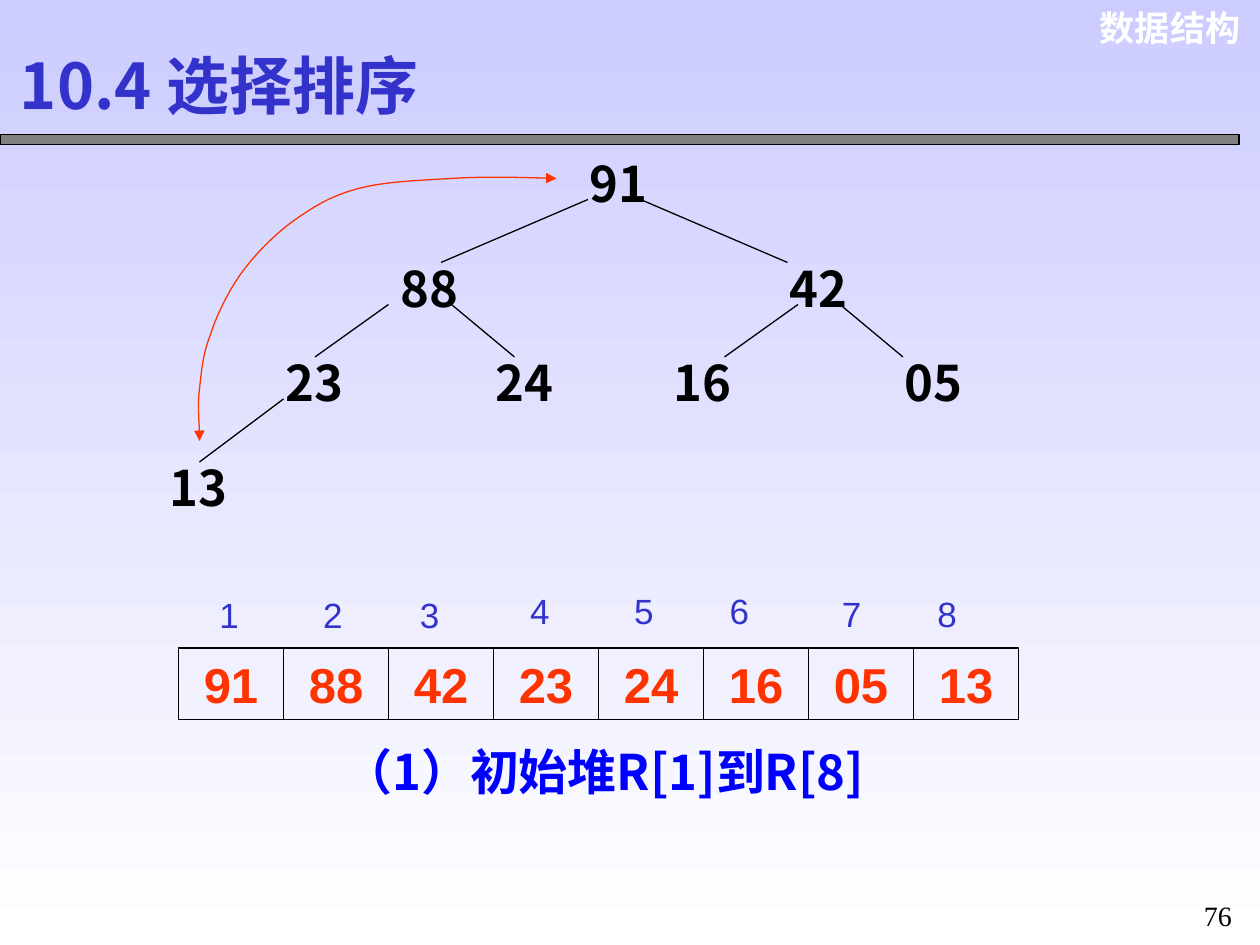
from lxml.etree import SubElement
from pptx import Presentation
from pptx.dml.color import RGBColor
from pptx.enum.shapes import MSO_CONNECTOR, MSO_SHAPE
from pptx.enum.text import MSO_ANCHOR, MSO_AUTO_SIZE, PP_ALIGN
from pptx.oxml.ns import qn
from pptx.util import Inches, Pt

HEAP = ["91", "88", "42", "23", "24", "16", "05", "13"]
NODES = [(40, 0), (22, 10), (59, 10), (11, 19), (31, 19), (48, 19), (70, 19), (0, 29)]
EDGES = [(41, 5, 27, 11), (46, 5, 60, 11), (22, 15, 15, 20), (28, 15, 34, 20),
         (61, 15, 54, 20), (65, 15, 71, 20), (12, 24, 4, 30)]
SWAP_CURVES = [
    [(0, 23.3), (-0.2, 21.6), (0, 20)],
    [(0.2, 18.3), (0.3, 16.8), (1, 15)],
    [(1.6, 13.1), (2.7, 10.8), (4, 9)],
    [(5.4, 7.1), (7.2, 5.3), (9, 4)],
    [(10.9, 2.7), (12.4, 1.7), (15, 1)],
    [(17.5, 0.3), (20.8, 0.2), (24, 0)],
    [(27.2, -0.2), (30.6, -0.1), (34, 0)],
]
INDEX_PLACES = [(2.7, 0.36), (12.6, 0.36), (21.8, 0.36), (32.3, 0),
                (42.2, 0), (51.3, 0), (62, 0.24), (71.1, 0.24)]
CJK = "Noto Sans CJK SC"
UNITS = 100


def grid(count):
    """Return the length of a number of grid steps, twelve to the inch."""
    return Inches(count / 12)


def color(value):
    """Return a colour from a hex string."""
    return RGBColor.from_string(value)


def write(shape, text, size, font, ink, bold=True, align=PP_ALIGN.LEFT):
    """Write one formatted run into a shape and return its paragraph."""
    frame = shape.text_frame
    frame.auto_size = MSO_AUTO_SIZE.NONE
    paragraph = frame.paragraphs[0]
    paragraph.alignment = align
    run = paragraph.add_run()
    run.text = text
    run.font.size, run.font.bold, run.font.name = Pt(size), bold, font
    run.font.color.rgb = color(ink)
    SubElement(run.font._element, qn("a:ea")).set("typeface", CJK)
    return paragraph


def add_label(slide, box, *style, wrap=True, **options):
    """Add a text box at a grid box and return its paragraph."""
    shape = slide.shapes.add_textbox(*map(grid, box))
    shape.text_frame.word_wrap = wrap
    return write(shape, *style, **options)


def add_bar(slide, box, fill=None):
    """Add a thinly outlined rectangle at a grid box."""
    shape = slide.shapes.add_shape(MSO_SHAPE.RECTANGLE, *map(grid, box))
    shape.shadow.inherit = False
    if fill:
        shape.fill.solid()
        shape.fill.fore_color.rgb = color(fill)
    else:
        shape.fill.background()
    shape.line.color.rgb = color("000000")
    shape.line.width = Pt(0.75)
    return shape


def paint_background(slide):
    """Fill the slide with a gradient from top to bottom."""
    fill = slide.background.fill
    fill.gradient()
    fill.gradient_angle = 270
    for stop, value in zip(fill.gradient_stops, ("CCCCFF", "FFFFFF")):
        stop.color.rgb = color(value)


def add_header(slide, box):
    """Place the course name, the rule and the title."""
    left, top, width, height = box
    add_label(slide, (left + width - 15.2, top, 16.5, 5.3), "数据结构", 20, "Arial",
              "FFFFFF", align=PP_ALIGN.RIGHT)
    add_bar(slide, (left, top + height - 1, width, 1), "808080")
    title = slide.shapes.title
    title.left, title.top, title.width, title.height = map(
        grid, (left + 0.7, top + 3.5, 44.7, 9))
    title.text_frame.vertical_anchor = MSO_ANCHOR.MIDDLE
    write(title, "10.4 选择排序", 36, CJK, "3333CC")


def add_tree(slide, box):
    """Draw the heap as a tree with its nodes and edges."""
    left, top = box[:2]
    for value, (x, y) in zip(HEAP, NODES):
        add_label(slide, (left + x, top + y, 8, 6.8), value, 28, CJK, "000000")
    for x1, y1, x2, y2 in EDGES:
        edge = slide.shapes.add_connector(
            MSO_CONNECTOR.STRAIGHT, grid(left + x1), grid(top + y1),
            grid(left + x2), grid(top + y2))
        edge.line.color.rgb = color("000000")
        edge.line.width = Pt(0.75)
        SubElement(edge._element.spPr, qn("a:effectLst"))


def add_swap_arrow(slide, box):
    """Draw the curved double arrow between the last leaf and the root."""
    left, top, width, height = box
    builder = slide.shapes.build_freeform(0, height * UNITS, scale=grid(1) / UNITS)
    builder.add_line_segments(
        [(x * UNITS, y * UNITS) for *_, (x, y) in SWAP_CURVES], close=False)
    arrow = builder.convert_to_shape(grid(left), grid(top))
    arrow.shadow.inherit = False
    arrow.fill.background()
    arrow.line.color.rgb = color("FF3300")
    arrow.line.width = Pt(0.75)
    for segment, points in zip(list(arrow._element.iter(qn("a:lnTo"))), SWAP_CURVES):
        outline = segment.getparent()
        curve = SubElement(outline, qn("a:cubicBezTo"))
        for x, y in points:
            SubElement(curve, qn("a:pt"), x=str(round(x * UNITS)), y=str(round(y * UNITS)))
        outline.replace(segment, curve)
    for end in ("a:headEnd", "a:tailEnd"):
        SubElement(arrow.line._get_or_add_ln(), qn(end), type="triangle")


def add_array(slide, box):
    """Draw the row of array cells with the index above each."""
    left, top, width, height = box
    step = width / len(HEAP)
    for index, (value, (x, y)) in enumerate(zip(HEAP, INDEX_PLACES)):
        cell = add_bar(slide, (left + index * step, top + 6.1, step, height - 6.1))
        write(cell, value, 28, "Arial", "FF3300", align=PP_ALIGN.CENTER)
        add_label(slide, (left + x, top + y, 4.2, 5.3), str(index + 1), 20, "Arial",
                  "3333CC", bold=False, wrap=False)


def add_footer(slide, box):
    """Place the caption and the page number."""
    left, top, width, height = box
    add_label(slide, (left, top, 69, 6.8), "（1）初始堆R[1]到R[8]", 28, CJK, "0000FF",
              align=PP_ALIGN.CENTER)
    number = add_label(slide, (left + width - 6, top + height - 5.4, 6, 5.4), "76", 16,
                       "Times New Roman", "000000", bold=False, align=PP_ALIGN.CENTER)
    number.line_spacing = 1.3


def main():
    """Build the slide and save it."""
    presentation = Presentation()
    presentation.slide_width, presentation.slide_height = grid(120), grid(90)
    slide = presentation.slides.add_slide(presentation.slide_layouts[5])
    paint_background(slide)
    add_header(slide, (0, 0, 118, 13.8))
    add_tree(slide, (15, 14, 78, 36))
    add_array(slide, (17, 55.6, 80, 12.9))
    add_footer(slide, (23, 70, 96, 19.4))
    add_swap_arrow(slide, (19, 17, 34, 25))
    presentation.save("out.pptx")


if __name__ == "__main__":
    main()
